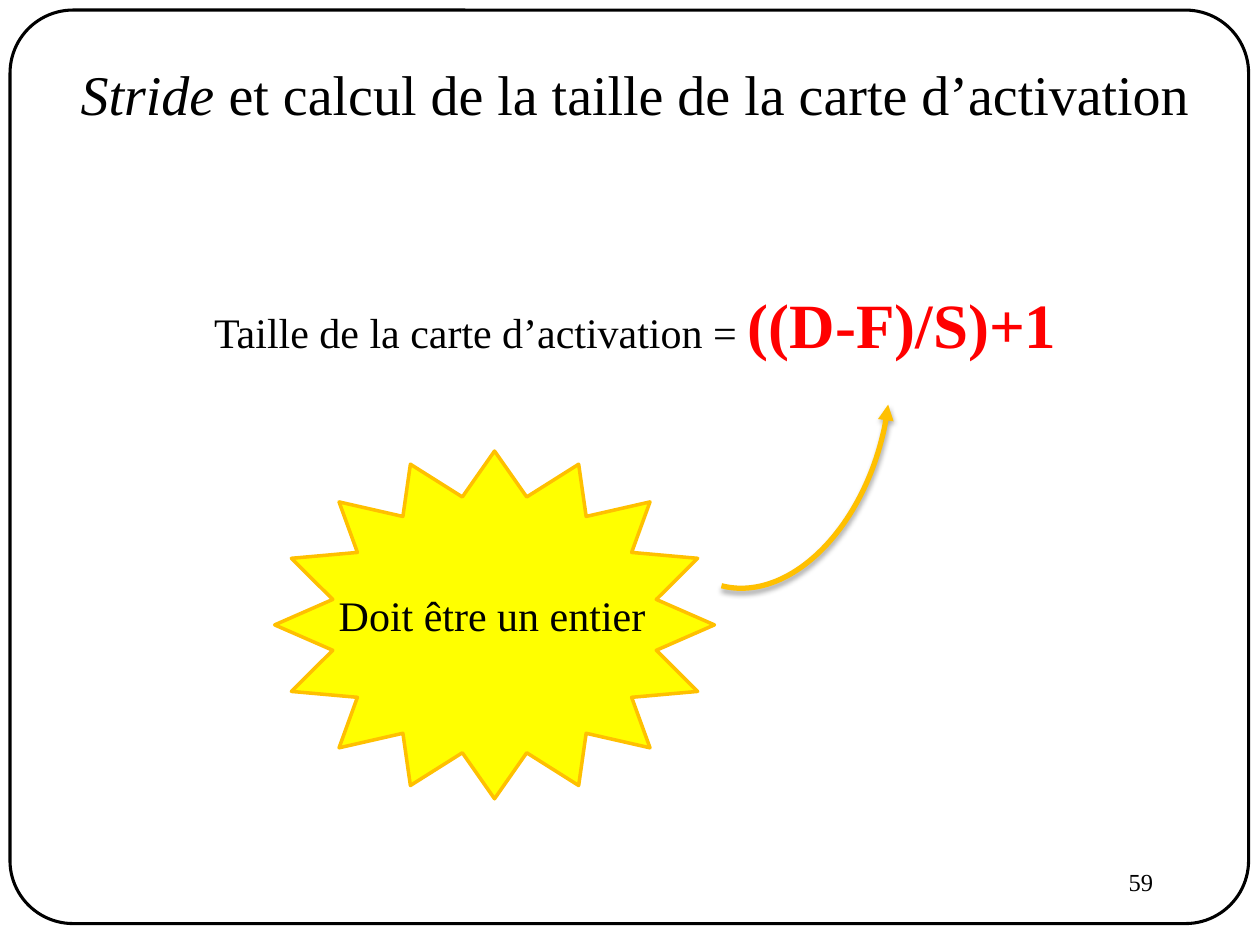
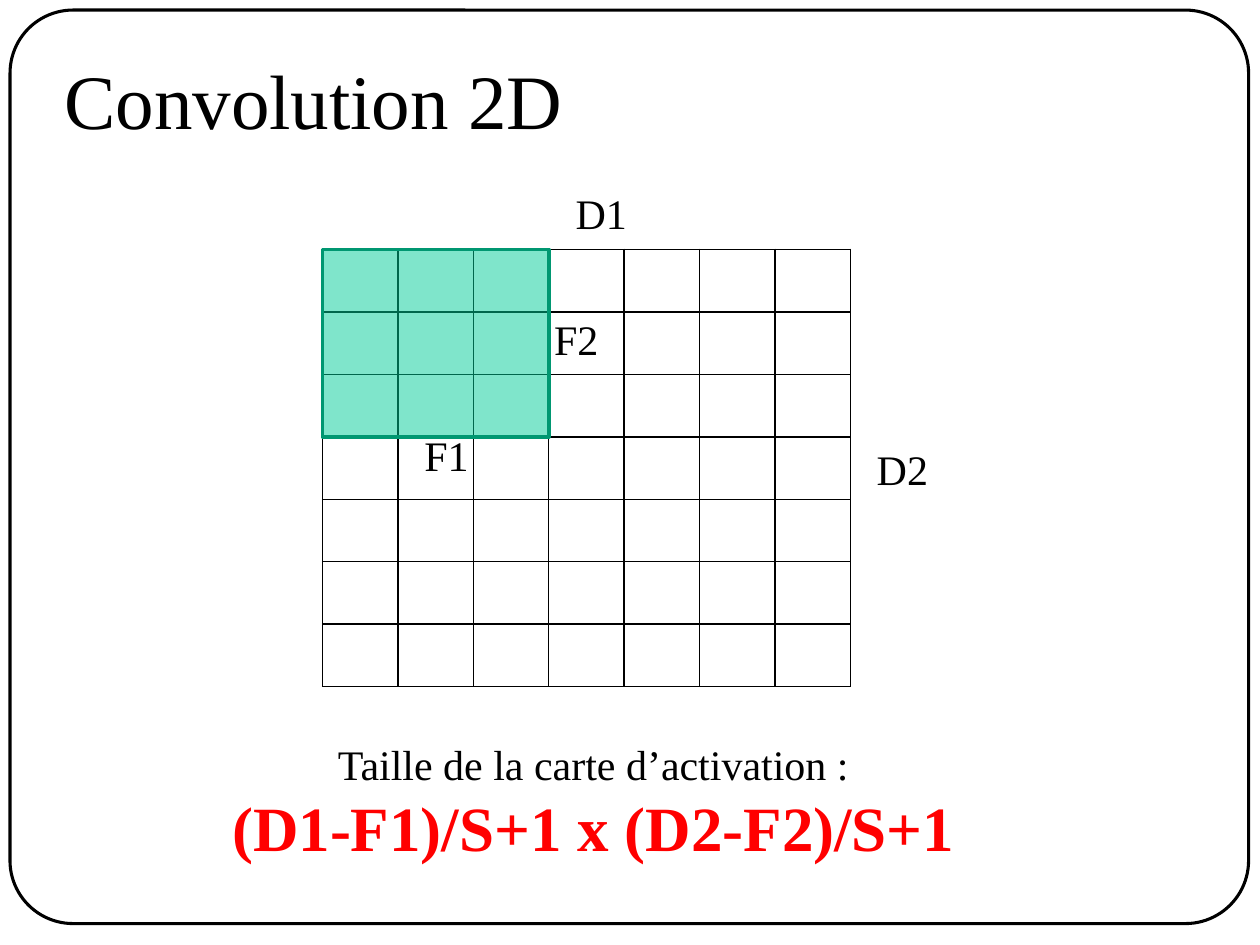
from pptx import Presentation
from pptx.dml.color import RGBColor
from pptx.enum.shapes import MSO_SHAPE as SHAPE
from pptx.enum.text import MSO_ANCHOR as ANCHOR, MSO_AUTO_SIZE as AUTO, PP_ALIGN as ALIGN
from pptx.oxml import parse_xml
from pptx.oxml.ns import nsdecls, qn
from pptx.util import Inches, Pt

# Shared look
FONT = "Times New Roman"
BLACK = RGBColor(0x00, 0x00, 0x00)
RED = RGBColor(0xFF, 0x00, 0x00)
YELLOW = RGBColor(0xFF, 0xFF, 0x00)
AMBER = RGBColor(0xFF, 0xC0, 0x00)
GREEN = RGBColor(0x00, 0xCC, 0x99)
DARK_GREEN = RGBColor(0x00, 0x97, 0x71)
BODY = dict(size=24)
FORMULA = dict(size=36, color=RED, bold=True)
FRAME = (0.08, 0.08, 9.83, 7.25)

# Content: each paragraph is a list of (text, style) runs
STRIDE_TITLE = [("Stride", dict(size=32, italic=True)),
                (" et calcul de la taille de la carte d’activation", dict(size=32))]
STRIDE_FORMULA = [("Taille de la carte d’activation = ", BODY), ("((D-F)/S)+1", FORMULA)]
INTEGER_NOTE = [("Doit être un entier", BODY)]
PAGE_NUMBER = [("59", dict(size=14))]

CONV_TITLE = [("Convolution 2D", dict(size=44))]
CONV_FORMULA = [[("Taille de la carte d’activation :", BODY)],
                [("(D1-F1)/S+1 x (D2-F2)/S+1", FORMULA)]]
DIMENSIONS = [  # label, left, top, width
    ("D1", 4.47, 1.44, 0.61),
    ("D2", 6.86, 3.47, 0.61),
    ("F2", 4.30, 2.44, 0.56),
    ("F1", 3.27, 3.36, 0.56),
]

# Convolution grid: square input and filter, counted in cells
INPUT_CELLS, FILTER_CELLS = 7, 3
GRID_LEFT, GRID_TOP, GRID_WIDTH, GRID_HEIGHT = 2.56, 1.98, 4.19, 3.47


def inches(box):
    return [Inches(v) for v in box]


def write(tf, paragraphs, align=ALIGN.LEFT, wrap=False, anchor=ANCHOR.TOP):
    tf.word_wrap = wrap
    tf.auto_size = AUTO.NONE if wrap else AUTO.SHAPE_TO_FIT_TEXT
    tf.vertical_anchor = anchor
    for i, runs in enumerate(paragraphs):
        p = tf.add_paragraph() if i else tf.paragraphs[0]
        p.alignment = align
        for text, style in runs:
            r = p.add_run()
            r.text = text
            font = r.font
            font.name = FONT
            font.size = Pt(style["size"])
            font.color.rgb = style.get("color", BLACK)
            font.bold = style.get("bold", False)
            font.italic = style.get("italic", False)


def add_text(s, box, paragraphs, **options):
    write(s.shapes.add_textbox(*inches(box)).text_frame, paragraphs, **options)


def add_shape(s, kind, box, line, width, fill=None):
    sp = s.shapes.add_shape(kind, *inches(box))
    sp.shadow.inherit = False
    sp.line.color.rgb = line
    sp.line.width = Pt(width)
    if fill is None:
        sp.fill.background()
    else:
        sp.fill.solid()
        sp.fill.fore_color.rgb = fill
    return sp


def add_slide(prs, title, box, **options):
    s = prs.slides.add_slide(prs.slide_layouts[5])
    frame = add_shape(s, SHAPE.ROUNDED_RECTANGLE, FRAME, BLACK, 1.75)
    frame.adjustments[0] = 0.069
    sp = s.shapes.title
    sp.left, sp.top, sp.width, sp.height = inches(box)
    write(sp.text_frame, [title], **options)
    return s


def add_arrow_arc(s, box, start, rotation):
    arc = add_shape(s, SHAPE.ARC, box, AMBER, 3)
    arc.adjustments[0], arc.adjustments[1] = start, 0
    arc.rotation = rotation
    spPr = arc.element.spPr
    spPr.find(qn("a:ln")).append(parse_xml(f'<a:headEnd {nsdecls("a")} type="triangle"/>'))
    spPr.find(qn("a:effectLst")).append(parse_xml(
        f'<a:outerShdw {nsdecls("a")} blurRad="{Pt(3.1)}" dist="{Pt(1.8)}" dir="5400000" '
        'rotWithShape="0"><a:srgbClr val="000000"><a:alpha val="35000"/></a:srgbClr>'
        '</a:outerShdw>'))


def add_grid(s):
    table = s.shapes.add_table(INPUT_CELLS, INPUT_CELLS, *inches(
        (GRID_LEFT, GRID_TOP, GRID_WIDTH, GRID_HEIGHT))).table
    table.first_row = table.horz_banding = False
    for column in table.columns:
        column.width = Inches(GRID_WIDTH / INPUT_CELLS)
    for row in table.rows:
        row.height = Inches(GRID_HEIGHT / INPUT_CELLS)
    for cell in table.iter_cells():
        cell.fill.background()
        tcPr = cell._tc.get_or_add_tcPr()
        for i, side in enumerate(("lnL", "lnR", "lnT", "lnB")):
            tcPr.insert(i, parse_xml(
                f'<a:{side} {nsdecls("a")} w="{Pt(1)}"><a:solidFill>'
                f'<a:srgbClr val="{BLACK}"/></a:solidFill></a:{side}>'))


def add_filter(s):
    share = FILTER_CELLS / INPUT_CELLS
    sp = add_shape(s, SHAPE.RECTANGLE,
                   (GRID_LEFT, GRID_TOP, GRID_WIDTH * share, GRID_HEIGHT * share),
                   DARK_GREEN, 2, GREEN)
    color = sp.element.spPr.find(qn("a:solidFill")).find(qn("a:srgbClr"))
    color.append(parse_xml(f'<a:alpha {nsdecls("a")} val="50000"/>'))


def stride_slide(prs):
    s = add_slide(prs, STRIDE_TITLE, (0.54, 0.42, 9.19, 0.64))
    add_shape(s, SHAPE.STAR_16_POINT, (2.18, 3.58, 3.49, 2.76), AMBER, 2, YELLOW)
    add_text(s, (7.17, 6.83, 2.08, 0.5), [PAGE_NUMBER], align=ALIGN.RIGHT, wrap=True)
    add_text(s, (1.6, 2.22, 6.95, 0.71), [STRIDE_FORMULA])
    add_text(s, (2.59, 4.63, 2.66, 0.5), [INTEGER_NOTE])
    add_arrow_arc(s, (4.65, 2.32, 2.87, 1.88), start=151.57, rotation=104.5)


def convolution_slide(prs):
    s = add_slide(prs, CONV_TITLE, (0.41, 0.16, 8.5, 1.25), wrap=True, anchor=ANCHOR.MIDDLE)
    add_grid(s)
    add_filter(s)
    for label, left, top, width in DIMENSIONS:
        add_text(s, (left, top, width, 0.5), [[(label, BODY)]])
    add_text(s, (1.67, 5.81, 6.08, 1.11), CONV_FORMULA, align=ALIGN.CENTER)


def main():
    prs = Presentation()
    prs.slide_width, prs.slide_height = Inches(10), Inches(7.5)
    stride_slide(prs)
    convolution_slide(prs)
    prs.save("out.pptx")


if __name__ == "__main__":
    main()
